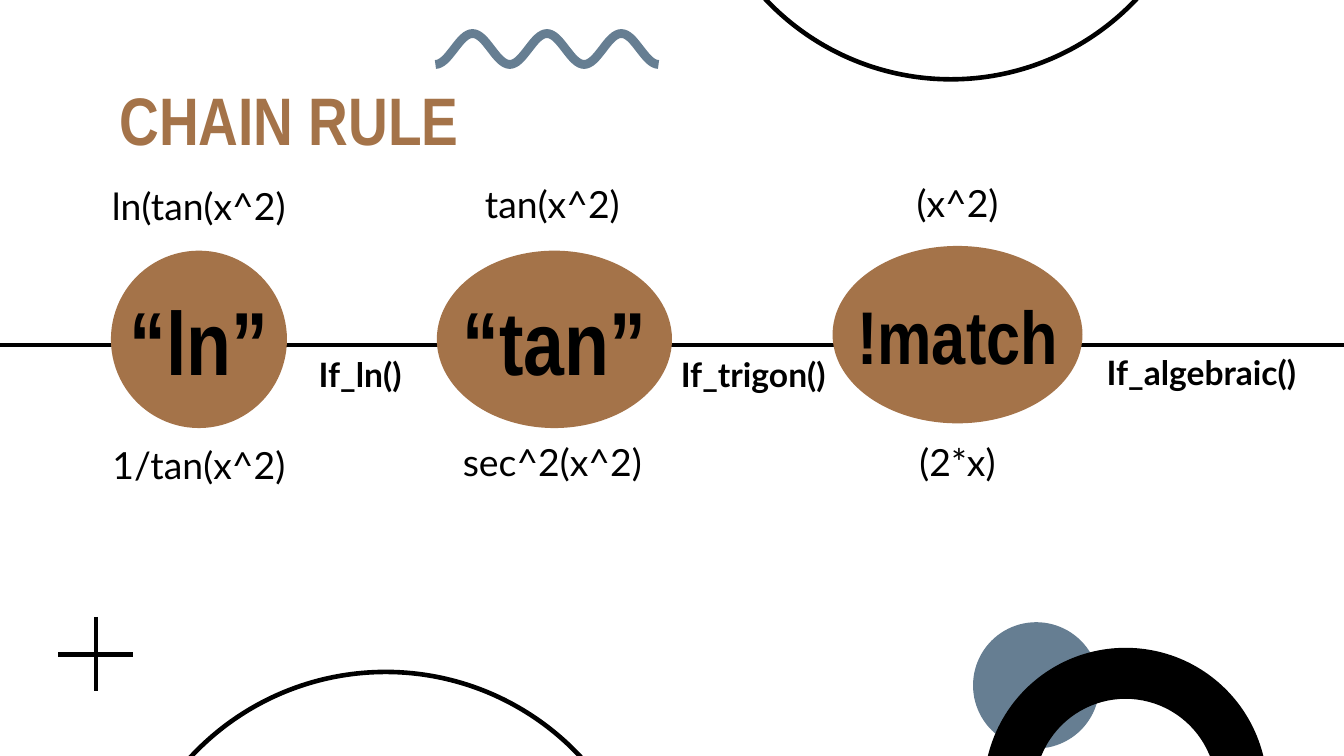
import math
from typing import NamedTuple, Optional

from lxml import etree
from pptx import Presentation
from pptx.dml.color import RGBColor
from pptx.enum import shapes, text
from pptx.oxml import ns
from pptx import util as u

COLS = 100
ROWS = COLS * 9 / 16
BROWN, SLATE, BLACK = "A47349", "667E92", "000000"
HEAVY = 2.46

prs = Presentation()
prs.slide_width = u.Inches(10)
prs.slide_height = prs.slide_width * 9 // 16
s = prs.slides.add_slide(prs.slide_layouts[6])


class Box(NamedTuple):
    col: float
    row: float
    cols: float
    rows: float


class Style(NamedTuple):
    size: float
    font: str
    color: str = BLACK
    bold: bool = False
    align: text.PP_ALIGN = text.PP_ALIGN.CENTER


class Stage(NamedTuple):
    name: str
    size: float
    oval: Box
    before: str
    before_row: float
    after: str
    after_row: float
    label_col: float
    check: str
    check_col: float
    check_row: float


class Disc(NamedTuple):
    kind: shapes.MSO_SHAPE
    box: Box
    fill: Optional[str] = None
    line: Optional[str] = None


TITLE = Style(36, "Arial Narrow", BROWN, True, text.PP_ALIGN.LEFT)
LABEL = Style(20, "Lato")
CHECK = Style(18, "Lato", bold=True)

OVAL, ARC = shapes.MSO_SHAPE.OVAL, shapes.MSO_SHAPE.BLOCK_ARC
DISCS = [
    Disc(OVAL, Box(72.4, 46.3, 9.4, 9.4), fill=SLATE),
    Disc(OVAL, Box(8.9, 50, 39.6, 39.6), line=BLACK),
    Disc(OVAL, Box(51.8, -32, 37.9, 37.9), line=BLACK),
    Disc(ARC, Box(73.2, 48.2, 21.1, 21.1), fill=BLACK),
]
STAGES = [
    Stage("“ln”", 48, Box(8.25, 18.65, 13.1, 13.2), "ln(tan(x^2)", 12.6,
          "1/tan(x^2)", 31.9, 5.45, "If_ln()", 17.45, 25.35),
    Stage("“tan”", 48, Box(32.5, 18.65, 17.5, 13.2), "tan(x^2)", 12.45,
          "sec^2(x^2)", 31.7, 31.75, "If_trigon()", 46.7, 25.35),
    Stage("!match", 40, Box(61.95, 18.3, 18.6, 13.2), "(x^2)", 12.4,
          "(2*x)", 31.7, 61.9, "If_algebraic()", 80.05, 25.2),
]


def x(col: float) -> int:
    return round(prs.slide_width * col / COLS)


def y(row: float) -> int:
    return round(prs.slide_height * row / ROWS)


def place(box: Box) -> tuple:
    return x(box.col), y(box.row), x(box.cols), y(box.rows)


def rgb(value: str) -> RGBColor:
    return RGBColor.from_string(value)


def paint(sp, fill: Optional[str], line: Optional[str], width: float = HEAVY) -> None:
    sp.shadow.inherit = False
    if fill:
        sp.fill.solid()
        sp.fill.fore_color.rgb = rgb(fill)
    else:
        sp.fill.background()
    if line:
        sp.line.color.rgb = rgb(line)
        sp.line.width = u.Pt(width)
    else:
        sp.line.fill.background()


def write(sp, words: str, style: Style, wrap: bool = True,
          anchor: text.MSO_ANCHOR = text.MSO_ANCHOR.TOP) -> None:
    tf = sp.text_frame
    inset = u.Inches(0.1)
    frame = dict(word_wrap=wrap, vertical_anchor=anchor, margin_left=inset,
                 margin_right=inset, margin_top=inset, margin_bottom=inset)
    for key, value in frame.items():
        setattr(tf, key, value)
    p = tf.paragraphs[0]
    p.alignment = style.align
    r = p.add_run()
    r.text = words
    for key, value in dict(size=u.Pt(style.size), name=style.font, bold=style.bold).items():
        setattr(r.font, key, value)
    r.font.color.rgb = rgb(style.color)


def add_text(box: Box, words: str, style: Style) -> None:
    write(s.shapes.add_textbox(*place(box)), words, style)


def add_disc(disc: Disc):
    sp = s.shapes.add_shape(disc.kind, *place(disc.box))
    paint(sp, disc.fill, disc.line)
    if disc.kind == ARC:
        sp.adjustments[2] = 0.18
    return sp


def add_line(col1: float, row1: float, col2: float, row2: float, width: float) -> None:
    ln = s.shapes.add_connector(shapes.MSO_CONNECTOR.STRAIGHT,
                                x(col1), y(row1), x(col2), y(row2))
    ln.line.color.rgb = rgb(BLACK)
    ln.line.width = u.Pt(width)
    etree.SubElement(ln._element.spPr, ns.qn("a:effectLst"))


def add_wave(box: Box, crests: int, steps: int = 96) -> None:
    points = [
        (x(box.col + box.cols * i / steps),
         y(box.row + box.rows * (1 + math.cos(math.tau * crests * i / steps)) / 2))
        for i in range(steps + 1)
    ]
    builder = s.shapes.build_freeform(*points[0])
    builder.add_line_segments(points[1:], close=False)
    paint(builder.convert_to_shape(), None, SLATE, 4.73)


def add_stage(stage: Stage) -> None:
    sp = add_disc(Disc(OVAL, stage.oval, fill=BROWN))
    write(sp, stage.name, Style(stage.size, "Arial Narrow", bold=True),
          wrap=False, anchor=text.MSO_ANCHOR.MIDDLE)
    add_text(Box(stage.label_col, stage.before_row, 18.7, 4.9), stage.before, LABEL)
    add_text(Box(stage.label_col, stage.after_row, 18.7, 4.9), stage.after, LABEL)
    add_text(Box(stage.check_col, stage.check_row, 18.7, 8.8), stage.check, CHECK)


for disc in DISCS:
    add_disc(disc)
add_wave(Box(32.4, 2.5, 16.6, 2.3), crests=3)
add_line(-1.9, 25.7, 102.8, 25.7, 2.25)
add_text(Box(7.9, 4.8, 84.3, 7.8), "CHAIN RULE", TITLE)
for stage in STAGES:
    add_stage(stage)
add_line(7.15, 45.9, 7.15, 51.4, HEAVY)
add_line(4.35, 48.7, 9.9, 48.7, HEAVY)

prs.save("out.pptx")
